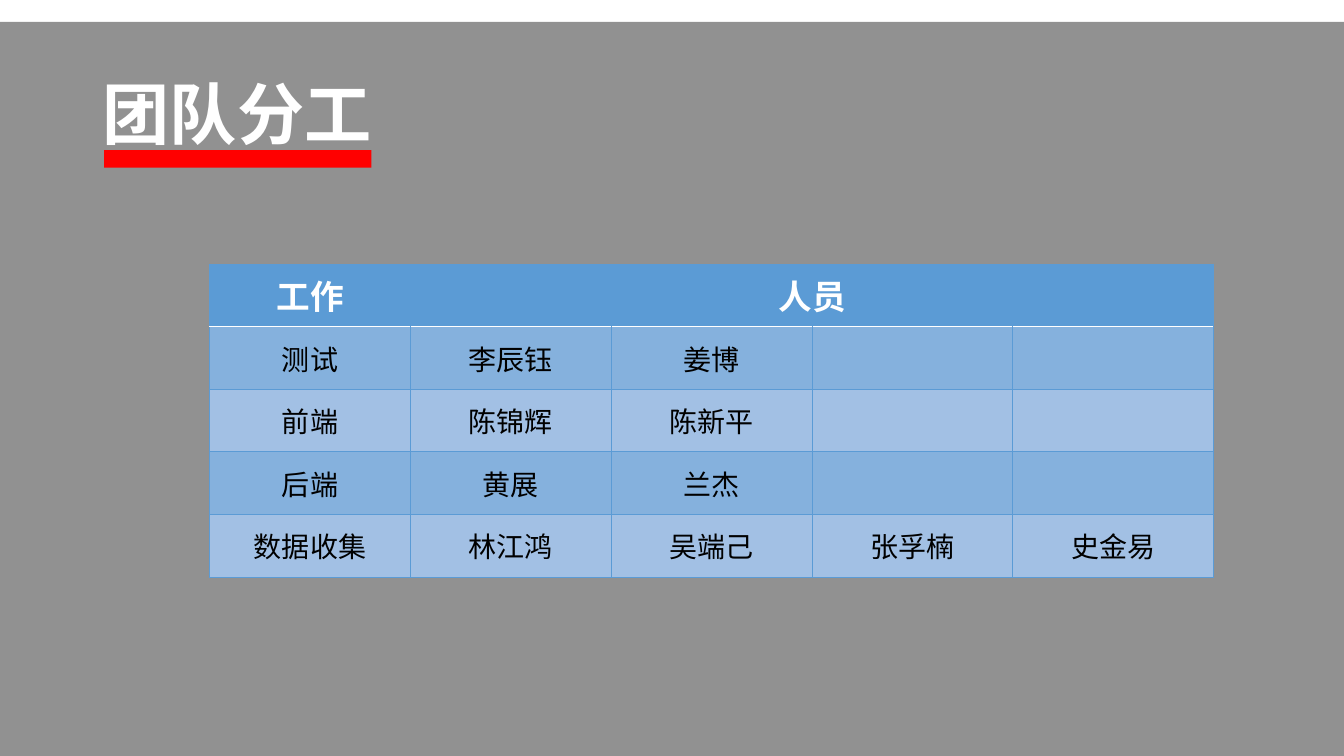
from lxml.etree import SubElement
from pptx import Presentation
from pptx.dml.color import RGBColor
from pptx.enum.shapes import MSO_SHAPE
from pptx.enum.text import MSO_ANCHOR, PP_ALIGN
from pptx.oxml.ns import qn
from pptx.util import Inches, Pt

COLORS = {
    "veil": "000000",
    "accent": "FF0000",
    "light": "FFFFFF",
    "dark": "000000",
    "header": "5B9BD5",
    "odd_row": "85B1DD",
    "even_row": "A2C0E4",
}

HEADER = ["工作", "人员", "", "", ""]
TEAMS = [
    ["测试", "李辰钰", "姜博", "", ""],
    ["前端", "陈锦辉", "陈新平", "", ""],
    ["后端", "黄展", "兰杰", "", ""],
    ["数据收集", "林江鸿", "吴端己", "张孚楠", "史金易"],
]


class SlideBuilder:
    """Draws on one slide; every area is (left, top, width, height) in percent."""

    title_font = "Montserrat"
    table_font = "Arial"

    def __init__(self, deck):
        self.deck = deck
        self.page = deck.slides.add_slide(deck.slide_layouts[6])

    def place(self, area):
        wide, high = self.deck.slide_width, self.deck.slide_height
        return [round(share * size / 100) for share, size in zip(area, (wide, high, wide, high))]

    def style(self, para, font, size, color, bold):
        for span in para.runs:
            span.font.name = font
            span.font.size = Pt(size)
            span.font.bold = bold
            span.font.color.rgb = RGBColor.from_string(COLORS[color])

    def paint(self, fill, color):
        fill.solid()
        fill.fore_color.rgb = RGBColor.from_string(COLORS[color])

    def block(self, area, color, opacity=100):
        shape = self.page.shapes.add_shape(MSO_SHAPE.RECTANGLE, *self.place(area))
        shape.shadow.inherit = False
        shape.line.fill.background()
        self.paint(shape.fill, color)
        if opacity < 100:
            tint = shape.fill._xPr.find(".//" + qn("a:srgbClr"))
            SubElement(tint, qn("a:alpha"), val=str(opacity * 1000))

    def title(self, area, text):
        frame = self.page.shapes.add_textbox(*self.place(area)).text_frame
        frame.word_wrap = True
        frame.vertical_anchor = MSO_ANCHOR.MIDDLE
        frame.text = text
        para = frame.paragraphs[0]
        para.line_spacing = 0.9
        self.style(para, self.title_font, 48, "light", True)

    def border(self, cell, side, color, width):
        line = SubElement(cell._tc.get_or_add_tcPr(), qn("a:ln" + side), w=str(Pt(width)))
        if color:
            fill = SubElement(line, qn("a:solidFill"))
            SubElement(fill, qn("a:srgbClr"), val=COLORS[color])
        else:
            SubElement(line, qn("a:noFill"))

    def cell(self, cell, text, row, column, last_column):
        header = row == 0
        inner = None if header else "header"
        cell.vertical_anchor = MSO_ANCHOR.MIDDLE
        self.border(cell, "L", inner if column else "header", 0.5)
        self.border(cell, "R", inner if column < last_column else "header", 0.5)
        self.border(cell, "T", *(("light", 1) if row == 1 else ("header", 0.5)))
        self.border(cell, "B", *(("light", 1) if header else ("header", 0.5)))
        self.paint(cell.fill, "header" if header else "odd_row" if row % 2 else "even_row")
        if text:
            cell.text = text
            para = cell.text_frame.paragraphs[0]
            para.alignment = PP_ALIGN.CENTER
            size, color = (24, "light") if header else (20, "dark")
            self.style(para, self.table_font, size, color, header)

    def table(self, area, rows):
        last_column = len(rows[0]) - 1
        grid = self.page.shapes.add_table(len(rows), last_column + 1, *self.place(area)).table
        for r, texts in enumerate(rows):
            for c, text in enumerate(texts):
                self.cell(grid.cell(r, c), text, r, c, last_column)
        grid.cell(0, 1).merge(grid.cell(0, last_column))


def main():
    deck = Presentation()
    deck.slide_width, deck.slide_height = Inches(13.33), Inches(7.5)
    builder = SlideBuilder(deck)
    builder.block((0, 2.9, 100, 100), "veil", opacity=43)
    builder.title((6.9, 5.33, 29.18, 20.53), "团队分工")
    builder.table((15.6, 34.93, 74.7, 41.4), [HEADER, *TEAMS])
    builder.block((7.75, 19.85, 19.88, 2.35), "accent")
    deck.save("out.pptx")


if __name__ == "__main__":
    main()
